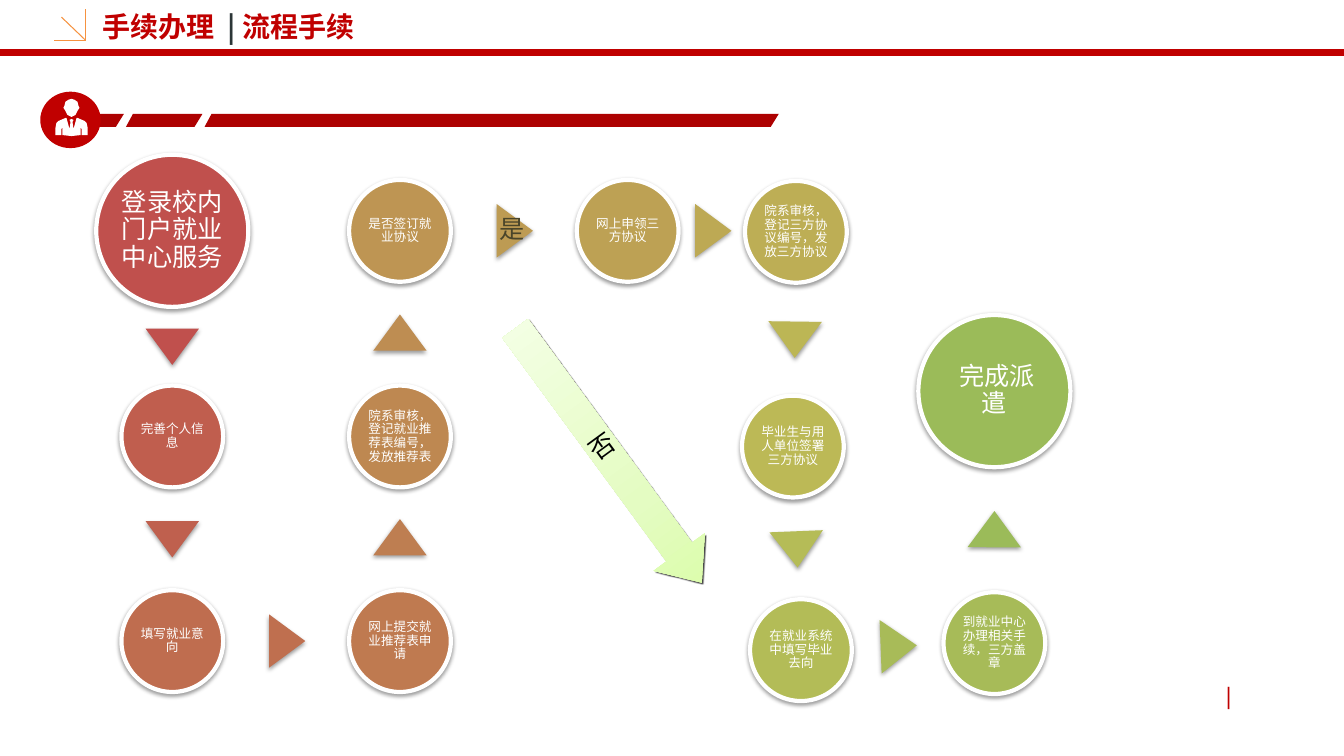
from lxml import etree
from pptx import Presentation
from pptx.dml.color import RGBColor
from pptx.enum.shapes import MSO_CONNECTOR as CONNECTOR, MSO_SHAPE as SHAPE
from pptx.enum.text import MSO_ANCHOR as ANCHOR, MSO_AUTO_SIZE as AUTO_SIZE, PP_ALIGN as ALIGN
from pptx.oxml import parse_xml
from pptx.oxml.ns import nsdecls, qn
from pptx.util import Inches, Pt

COLORS = {
    "red": "C00000", "dark_red": "AD0101", "orange": "F69240", "slate": "2C3637",
    "white": "FFFFFF", "black": "000000", "olive": "4A452A",
}
BIG, SMALL = 1.51, 1.01  # circle diameters

# text, centre x, centre y, diameter, fill
STEPS = [
    ("登录校内门户就业中心服务", 0.76, 0.76, BIG, "C0504D"),
    ("完善个人信息", 0.76, 2.8, SMALL, "C05E4E"),
    ("填写就业意向", 0.76, 4.83, SMALL, "BF6D4F"),
    ("网上提交就业推荐表申请", 3.02, 4.83, SMALL, "BF7A50"),
    ("院系审核，登记就业推荐表编号，发放推荐表", 3.02, 2.8, SMALL, "BE8851"),
    ("是否签订就业协议", 3.02, 0.76, SMALL, "BE9553"),
    ("网上申领三方协议", 5.28, 0.76, SMALL, "BDA154"),
    ("院系审核，登记三方协议编号，发放三方协议", 6.95, 0.77, SMALL, "BDAE55"),
    ("毕业生与用人单位签署三方协议", 6.92, 2.9, SMALL, "BCB956"),
    ("在就业系统中填写毕业去向", 7.0, 4.92, SMALL, "B3BC57"),
    ("到就业中心办理相关手续，三方盖章", 8.92, 4.85, SMALL, "A7BB58"),
    (" 完成派遣", 8.92, 2.35, BIG, "9BBB59"),
]
# centre x, centre y, rotation, fill
ARROWS = [
    (0.76, 1.91, 180, "C0504D"), (0.76, 3.82, 180, "BF604E"),
    (1.9, 4.83, 90, "BF6F4F"), (3.02, 3.8, 0, "BE7E51"),
    (3.02, 1.77, 0, "BE8D52"), (4.16, 0.76, 90, "BD9B53"),
    (6.13, 0.76, 90.1, "BDA954"), (6.94, 1.84, 180.8, "BCB655"),
    (6.96, 3.92, 177.7, "B5BC57"), (7.97, 4.88, 87.8, "A8BB58"),
    (8.92, 3.72, 0.3, "9BBB59"),
]


def rgb(color):
    return RGBColor.from_string(COLORS.get(color, color))


def style_run(run, size, font, color, bold=None):
    run.font.size, run.font.name, run.font.bold = Pt(size), font, bold
    run.font.color.rgb = rgb(color)


def paint(shape, fill):
    shape.fill.solid()
    shape.fill.fore_color.rgb = rgb(fill)
    shape.line.fill.background()
    shape.shadow.inherit = False


def add_shadow(shape, alpha, blur, distance, angle):
    shape.shadow.inherit = False
    shape._element.spPr.find(qn("a:effectLst")).append(parse_xml(
        f'<a:outerShdw {nsdecls("a")} blurRad="{Pt(blur)}" dist="{Pt(distance)}" '
        f'dir="{angle * 60000}" rotWithShape="0"><a:srgbClr val="{COLORS["black"]}">'
        f'<a:alpha val="{alpha * 1000}"/></a:srgbClr></a:outerShdw>'))


def add_centred(slide, kind, x, y, width, height):
    return slide.shapes.add_shape(kind, Inches(x - width / 2), Inches(y - height / 2),
                                  Inches(width), Inches(height))


def add_line(slide, start, end, color, width):
    line = slide.shapes.add_connector(CONNECTOR.STRAIGHT, *map(Inches, start + end))
    line.line.color.rgb = rgb(color)
    line.line.width = Pt(width)
    etree.SubElement(line._element.spPr, qn("a:effectLst"))


def add_outline(slide, contours, fill):
    # The builder keeps whole units only, so points are passed in EMU
    contours = [[(Inches(x), Inches(y)) for x, y in contour] for contour in contours]
    builder = slide.shapes.build_freeform(*contours[0][0])
    for number, contour in enumerate(contours):
        if number:
            builder.move_to(*contour[0])
        builder.add_line_segments(contour[1:], close=True)
    paint(builder.convert_to_shape(), fill)


def add_label(slide, text, left, top, width, height, color, wrap):
    box = slide.shapes.add_textbox(*map(Inches, (left, top, width, height)))
    box.text_frame.word_wrap = wrap
    box.text_frame.text = text
    style_run(box.text_frame.paragraphs[0].runs[0], 18, "Calibri", color)


def write_centred(shape, text, size, color, margin):
    frame = shape.text_frame
    frame.word_wrap = True
    frame.vertical_anchor = ANCHOR.MIDDLE
    frame.margin_left = frame.margin_right = Inches(margin)
    frame.margin_top = frame.margin_bottom = Inches(margin)
    frame.text = text
    paragraph = frame.paragraphs[0]
    paragraph.alignment = ALIGN.CENTER
    paragraph.line_spacing = 0.9
    style_run(paragraph.runs[0], size, "Calibri", color)


def build_header(slide, left, top, width):
    # Title
    title = slide.shapes.title
    title.left, title.top = Inches(left + 0.92), Inches(top + 0.04)
    title.width, title.height = Inches(7.32), Inches(0.44)
    frame = title.text_frame
    frame.auto_size = AUTO_SIZE.NONE
    frame.vertical_anchor = ANCHOR.MIDDLE
    paragraph = frame.paragraphs[0]
    paragraph.alignment = ALIGN.LEFT
    for text, font, color in (("手续办理  ", "Arial Narrow", "red"),
                              ("| ", "Noto Sans CJK SC", "slate"),
                              ("流程手续", "Arial Narrow", "red")):
        run = paragraph.add_run()
        run.text = text
        style_run(run, 20, font, color, True)
    # Rule and corner mark
    add_line(slide, (left, top + 0.52), (left + width, top + 0.52), "red", 4.5)
    corner = (left + 0.85, top + 0.4)
    for x, y in ((0.54, 0.4), (0.85, 0.09), (0.61, 0.17)):
        add_line(slide, corner, (left + x, top + y), "orange", 0.75)


def build_banner(slide, left, top):
    # Slanted bars
    bars = [[(left + start, top + 0.22), (left + end, top + 0.22),
             (left + end - 0.08, top + 0.35), (left + start - 0.07, top + 0.35)]
            for start, end in ((1.7, 7.33), (0.92, 1.61), (0.52, 0.83))]
    add_outline(slide, bars, "dark_red")
    # Person badge: right halves of the figure, mirrored about its axis
    paint(add_centred(slide, SHAPE.OVAL, left + 0.3, top + 0.28, 0.6, 0.56), "red")
    body = [(0, 0.27), (0.02, 0.28), (0.01, 0.3), (0.02, 0.37), (0.05, 0.26), (0.06, 0.26),
            (0.13, 0.29), (0.15, 0.31), (0.16, 0.36), (0.16, 0.43), (0.1, 0.43),
            (0.1, 0.37), (0.09, 0.35), (0.09, 0.43), (0, 0.44)]
    head = [(0, 0.07), (0.03, 0.08), (0.06, 0.1), (0.07, 0.14), (0.08, 0.16),
            (0.06, 0.19), (0.04, 0.23), (0, 0.25)]
    for half in (body, head):
        mirrored = half + [(-x, y) for x, y in reversed(half[1:-1])]
        add_outline(slide, [[(left + 0.31 + x, top + y) for x, y in mirrored]], "white")


def build_flow(slide, left, top):
    # Steps
    for text, x, y, diameter, fill in STEPS:
        circle = add_centred(slide, SHAPE.OVAL, left + x, top + y, diameter, diameter)
        paint(circle, fill)
        circle.line.color.rgb = rgb("white")
        circle.line.width = Pt(3)
        add_shadow(circle, 38, 3.1, 1.6, 90)
        big = diameter == BIG
        write_centred(circle, text, 18 if big else 9, "white", 0.03 if big else 0.01)
    # Arrows between steps
    for x, y, rotation, fill in ARROWS:
        arrow = add_centred(slide, SHAPE.ISOSCELES_TRIANGLE, left + x, top + y, 0.53, 0.36)
        arrow.rotation = rotation
        paint(arrow, fill)
        add_shadow(arrow, 38, 3.1, 1.6, 90)
    # Yes and no branches
    add_label(slide, "是", left + 3.91, top + 0.54, 0.55, 0.4, "olive", True)
    branch = add_centred(slide, SHAPE.DOWN_ARROW, left + 5.09, top + 2.99, 0.63, 3.13)
    branch.rotation = 323.7
    branch.adjustments[1] = 0.6
    branch.fill.gradient()
    branch.fill.gradient_angle = 90
    stops = branch._element.spPr.find(qn("a:gradFill")).find(qn("a:gsLst"))
    for stop in list(stops):
        stops.remove(stop)
    for position, color in ((0, "DAFDA7"), (35, "E4FCC2"), (100, "F5FFE7")):
        stops.append(parse_xml(f'<a:gs {nsdecls("a")} pos="{position * 1000}">'
                               f'<a:srgbClr val="{color}"/></a:gs>'))
    branch.line.fill.background()
    add_shadow(branch, 75, 0.5, 1.5, 45)
    write_centred(branch, "否", 18, "black", 0)


def main():
    presentation = Presentation()
    presentation.slide_width, presentation.slide_height = Inches(13.34), Inches(7.5)
    slide = presentation.slides.add_slide(presentation.slide_layouts[5])
    build_header(slide, 0, 0, 13.34)
    build_banner(slide, 0.4, 0.91)
    build_flow(slide, 0.95, 1.53)
    # Page mark
    add_label(slide, "|", 12.04, 6.7, 0.38, 0.4, "red", False)
    presentation.save("out.pptx")


if __name__ == "__main__":
    main()
